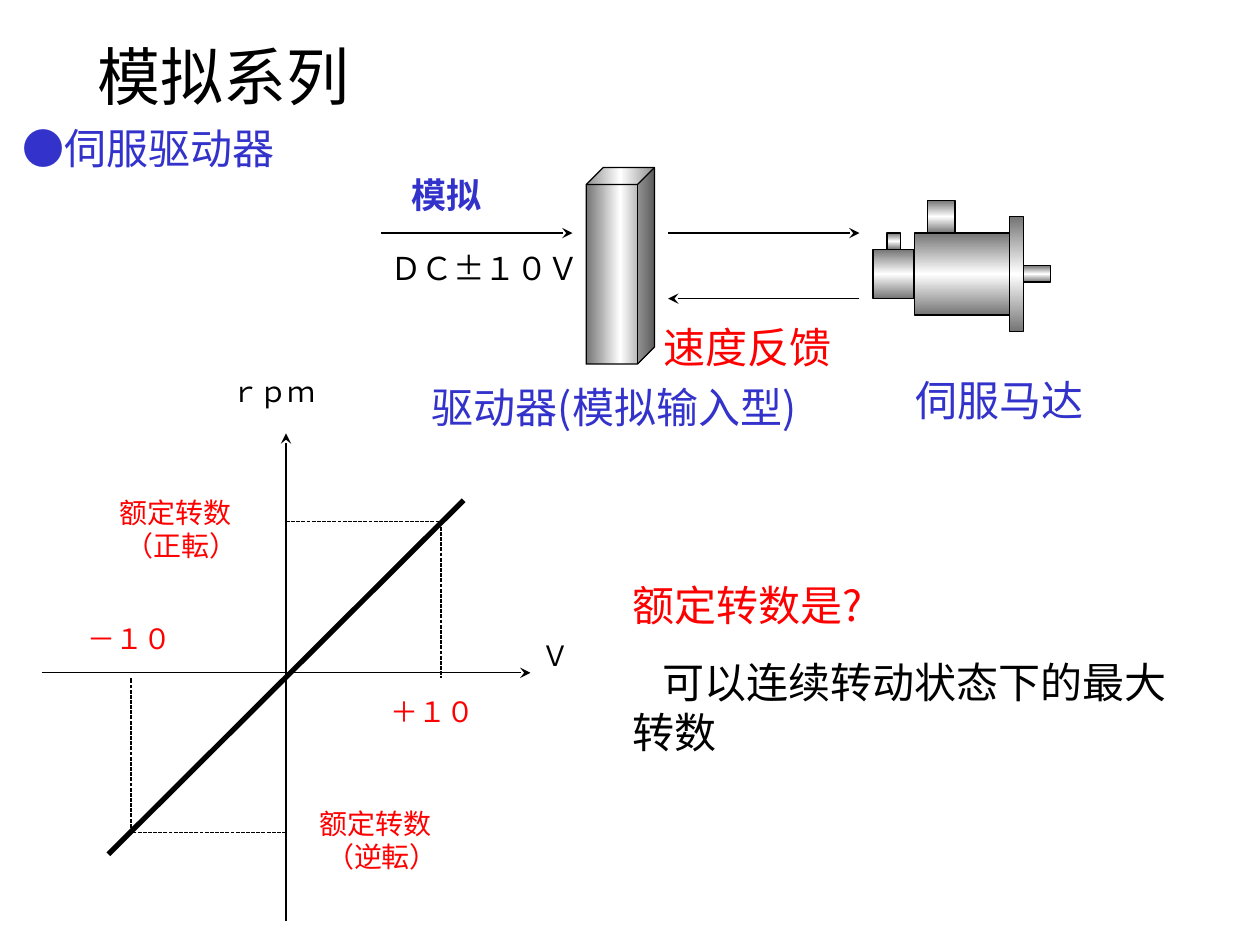
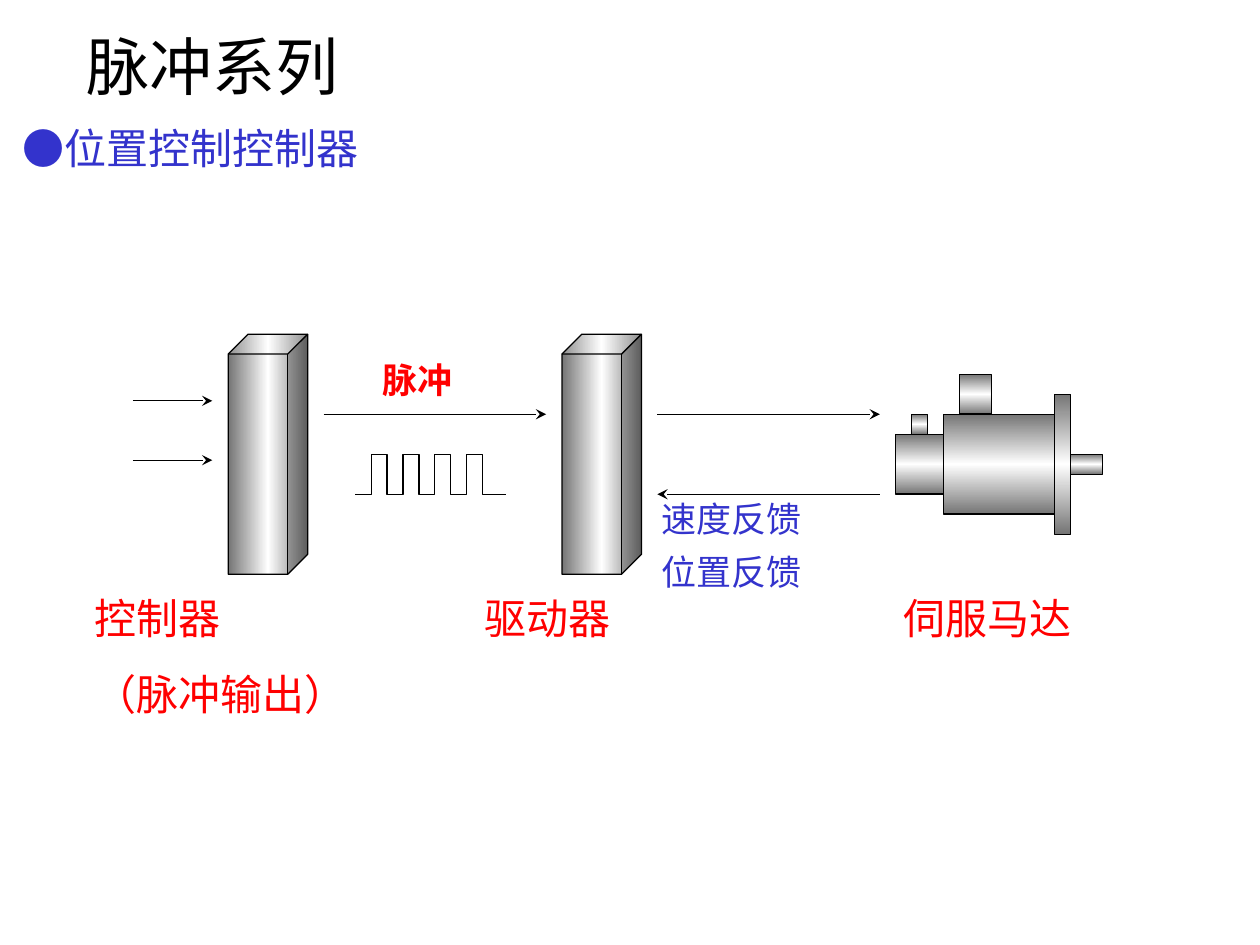
"""Build two slides on analog and pulse servo drive systems."""
from copy import deepcopy

from lxml import etree
from pptx import Presentation
from pptx.dml.color import RGBColor
from pptx.enum.dml import MSO_LINE
from pptx.enum.shapes import MSO_CONNECTOR, MSO_SHAPE
from pptx.enum.text import MSO_ANCHOR, PP_ALIGN
from pptx.oxml.ns import qn
from pptx.util import Inches, Pt

RECT, CUBE = MSO_SHAPE.RECTANGLE, MSO_SHAPE.CUBE
STRAIGHT, DOTTED = MSO_CONNECTOR.STRAIGHT, MSO_LINE.SQUARE_DOT
TOP, LEFT, JUSTIFY = MSO_ANCHOR.TOP, PP_ALIGN.LEFT, PP_ALIGN.JUSTIFY

THEME = {
    "black": RGBColor(0, 0, 0),
    "blue": RGBColor(0x33, 0x33, 0xCC),
    "red": RGBColor(0xFF, 0, 0),
    "metal": [RGBColor.from_string(c) for c in ("757575", "FFFFFF", "757575")],
    "sans": "Noto Sans CJK JP",
    "serif": "TeX Gyre Schola",
    "title": 36, "label": 24, "tag": 20, "value": 18, "axis": 16,
    "thin": 0.75, "thick": 3,
}


def write(s, box, lines, size, color, font="sans", bold=False, align=LEFT, indents=(0, 0)):
    """Place a text shape and fill it with formatted paragraphs."""
    s.left, s.top, s.width, s.height = [Inches(v) for v in box]
    tf = s.text_frame
    tf.word_wrap, tf.vertical_anchor = True, TOP
    tf.margin_left = tf.margin_right = Inches(0.1)
    tf.margin_top = tf.margin_bottom = Inches(0.05)
    for i, (line, indent) in enumerate(zip(lines.split("\n"), indents)):
        p = tf.add_paragraph() if i else tf.paragraphs[0]
        p.alignment = align
        p.space_before = Pt(15 if i and size == "label" else 0)
        if indent:
            p._p.get_or_add_pPr().set("indent", str(Inches(indent)))
        r = p.add_run()
        r.text = line
        fmt = {"size": Pt(THEME[size]), "bold": bold, "name": THEME[font]}
        for key, value in fmt.items():
            setattr(r.font, key, value)
        r.font.color.rgb = THEME[color[i] if isinstance(color, tuple) else color]
        etree.SubElement(r._r.rPr, qn("a:ea"), typeface=THEME["sans"])


def draw_line(slide, x1, y1, x2, y2, weight="thin", arrow=False, dash=None):
    """Draw a straight black line, with an arrowhead at its end if asked."""
    c = slide.shapes.add_connector(STRAIGHT, *[Inches(v) for v in (x1, y1, x2, y2)])
    c.line.color.rgb = THEME["black"]
    c.line.width = Pt(THEME[weight])
    if dash:
        c.line.dash_style = dash
    spPr = c._element.spPr
    if arrow:
        etree.SubElement(spPr.find(qn("a:ln")), qn("a:tailEnd"), type="stealth")
    etree.SubElement(spPr, qn("a:effectLst"))


MOTOR = [(3, 2, 7, 5), (0, 3, 3, 3), (10, 1, 1, 7), (11, 4, 2, 1), (1, 2, 1, 1), (4, 0, 2, 2)]
DRIVER, CONTROLLER = (-21, -2, 5, 12), (-42, -2, 5, 12)
SIGNALS = [(-36, 2, -22, 2), (-15, 2, -1, 2), (-1, 6, -15, 6)]
INPUTS = [(-48, 1.33, -43, 1.33), (-48, 4.3, -43, 4.3)]

SLIDES = [
    {
        "title": ("模拟系列", (0.67, 0.25, 2.75, 0.7)),
        "motor": (6.93, 1.59, 1.41, 1.04),
        "cubes": [DRIVER],
        "arrows": SIGNALS,
        "texts": [
            ((0.08, 0.92, 3, 0.5), "●伺服驱动器", "label", "blue"),
            ((3.33, 2.98, 3.58, 0.9), "驱动器(模拟输入型)", "label", "blue"),
            ((7.17, 2.92, 2.42, 0.5), "伺服马达", "label", "blue"),
            ((3.17, 1.33, 1.33, 0.44), "模拟", "tag", "blue", "sans", True),
            ((3, 1.93, 2, 0.4), "ＤＣ±１０Ｖ", "value", "black"),
            ((5.17, 2.5, 2.92, 0.5), "速度反馈", "label", "red"),
            ((4.92, 4.55, 4.75, 2.12), "额定转数是?\n可以连续转动状态下的最大转数",
             "label", ("red", "black"), "sans", False, LEFT, (0, 0.24)),
            ((3, 5.46, 1.59, 0.7), "＋１０", "axis", "red", "serif", False, JUSTIFY),
            ((0.6, 4.88, 1.23, 0.71), "－１０", "axis", "red", "serif", False, JUSTIFY),
            ((4.2, 5.02, 0.7, 0.7), "Ｖ", "axis", "black", "serif", False, JUSTIFY),
            ((1.74, 2.92, 1.23, 0.88), "ｒｐｍ", "axis", "black", "serif", False, JUSTIFY),
            ((0.85, 3.88, 1.48, 0.71), "额定转数\n（正転）",
             "axis", "red", "sans", False, JUSTIFY, (0, 0.05)),
            ((2.44, 6.35, 1.4, 0.65), "额定转数\n（逆転）",
             "axis", "red", "sans", False, JUSTIFY, (0, 0.05)),
        ],
    },
    {
        "title": ("脉冲系列", (0.59, 0.17, 2.4, 0.7)),
        "motor": (7.11, 2.97, 1.64, 1.27),
        "cubes": [CONTROLLER, DRIVER],
        "arrows": INPUTS + SIGNALS,
        "texts": [
            ((0.08, 0.92, 4.42, 0.5), "●位置控制控制器", "label", "blue"),
            ((0.65, 4.65, 2.8, 1.11), "控制器\n（脉冲输出）", "label", "red"),
            ((3.75, 4.65, 2.1, 0.5), "驱动器", "label", "red"),
            ((7.07, 4.65, 2.43, 0.5), "伺服马达", "label", "red"),
            ((2.94, 2.8, 1.3, 0.44), "脉冲", "tag", "red", "sans", True),
            ((5.15, 3.9, 2.42, 0.44), "速度反馈", "tag", "blue"),
            ((5.15, 4.32, 2.42, 0.44), "位置反馈", "tag", "blue"),
        ],
    },
]

prs = Presentation()
prs.slide_width, prs.slide_height = Inches(10), Inches(7.5)

for data in SLIDES:
    slide = prs.slides.add_slide(prs.slide_layouts[5])
    title, box = data["title"]
    write(slide.shapes.title, box, title, "title", "black")

    x0, y0, motor_w, motor_h = data["motor"]
    dx, dy = motor_w / 13, motor_h / 8
    parts = [(RECT, 90, cell) for cell in MOTOR] + [(CUBE, 0, cell) for cell in data["cubes"]]
    for kind, angle, (col, row, cols, rows) in parts:
        s = slide.shapes.add_shape(kind, Inches(x0 + col * dx), Inches(y0 + row * dy),
                                   Inches(cols * dx), Inches(rows * dy))
        s.shadow.inherit = False
        s.line.color.rgb = THEME["black"]
        s.line.width = Pt(THEME["thin"])
        s.fill.gradient()
        s.fill.gradient_angle = angle
        stops = s._element.spPr.find(".//" + qn("a:gsLst"))
        stops.insert(1, deepcopy(stops[0]))
        for stop, position, color in zip(s.fill.gradient_stops, (0, 0.5, 1), THEME["metal"]):
            stop.position = position
            stop.color.rgb = color

    for c1, r1, c2, r2 in data["arrows"]:
        draw_line(slide, x0 + c1 * dx, y0 + r1 * dy, x0 + c2 * dx, y0 + r2 * dy, arrow=True)
    for box, lines, *style in data["texts"]:
        write(slide.shapes.add_textbox(0, 0, 0, 0), box, lines, *style)

graph = prs.slides[0]
draw_line(graph, 0.33, 5.34, 4.21, 5.34, arrow=True)
draw_line(graph, 2.27, 7.31, 2.27, 3.44, arrow=True)
draw_line(graph, 3.68, 3.97, 0.86, 6.78, "thick")
for x, y in ((3.5, 4.14), (1.04, 6.61)):
    draw_line(graph, 2.27, y, x, y, dash=DOTTED)
    draw_line(graph, x, y, x, 5.38, dash=DOTTED)

wave = [(-34, 6)]
for col in range(-33, -26, 2):
    wave += [(col, 6), (col, 4), (col + 1, 4), (col + 1, 6)]
wave.append((-24.5, 6))
points = [(Inches(x0 + col * dx), Inches(y0 + row * dy)) for col, row in wave]
fb = prs.slides[1].shapes.build_freeform(*points[0])
fb.add_line_segments(points[1:], close=False)
s = fb.convert_to_shape()
s.shadow.inherit = False
s.fill.background()
s.line.color.rgb = THEME["black"]
s.line.width = Pt(THEME["thin"])

prs.save("out.pptx")
